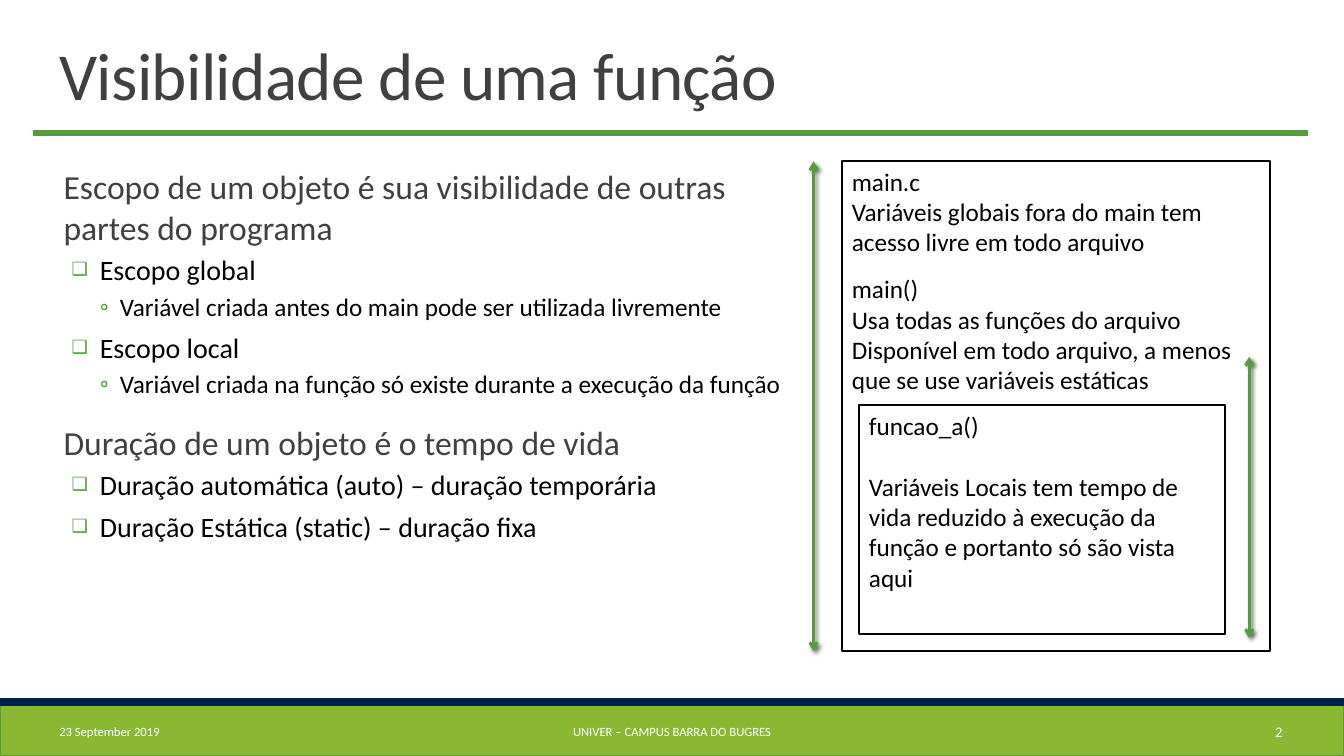
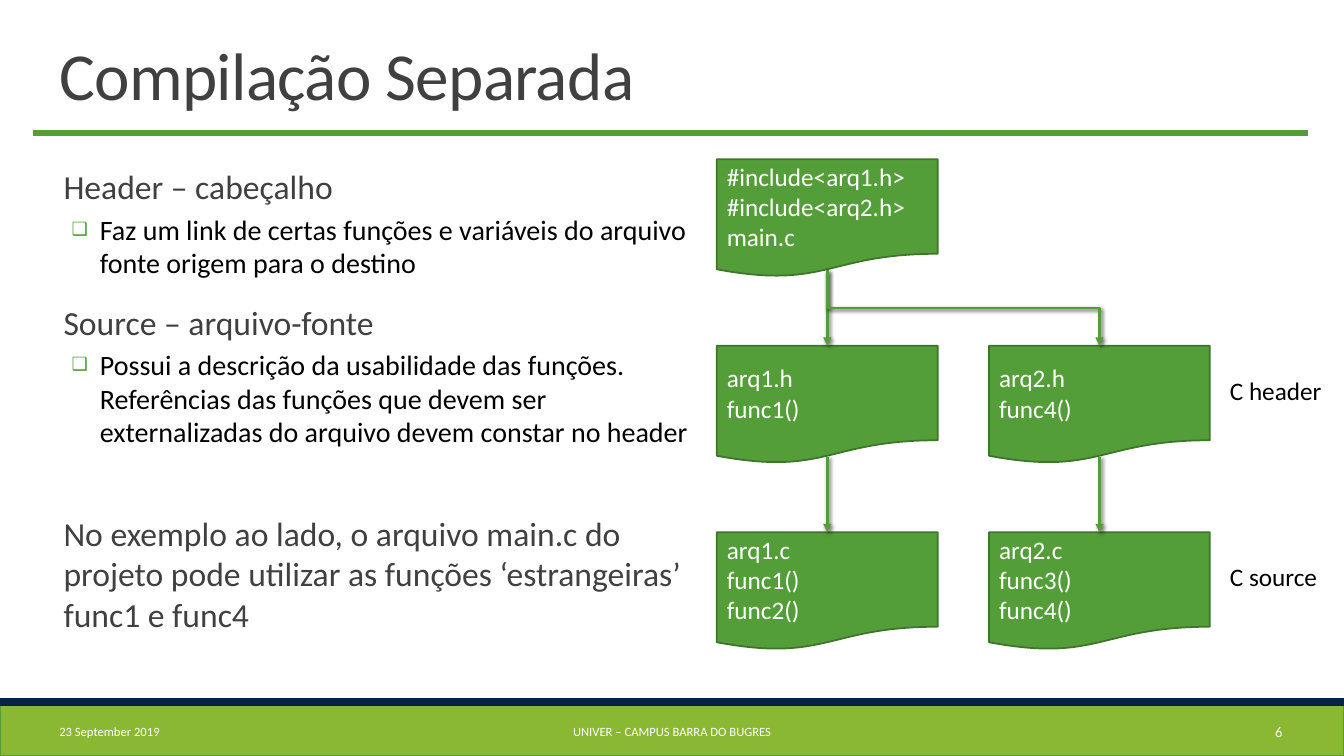
from lxml.etree import SubElement as Sub
from pptx import Presentation
from pptx.dml.color import RGBColor as RGB
from pptx.enum.shapes import MSO_CONNECTOR as LINE, MSO_SHAPE as SHAPE
from pptx.enum.text import MSO_ANCHOR as ANCHOR, MSO_AUTO_SIZE as FIT, PP_ALIGN as ALIGN
from pptx.oxml.ns import qn
from pptx.util import Inches, Pt

INK = dict(title="404040", text="000000", green="549E39", dark="3E752A",
           lime="8AB833", navy="00214A", white="FFFFFF")
FONT = "Calibri"
# Body levels: size, colour, left indent, hanging, line spacing, before, after, bullet, bullet size
LEVELS = [(24, "title", 0.14, 0, 1, 12, 2, None, 100),
          (20, "text", 0.5, -0.28, 1, 2, 4, "❑", 65),
          (18, "text", 0.7, -0.2, 0.9, 2, 4, "◦", 100)]


def color(name):
    return RGB.from_string(INK[name])


def style(par, size, ink, align=ALIGN.LEFT):
    par.alignment = align
    font = par.font
    font.name, font.size = FONT, Pt(size)
    font.color.rgb = color(ink)


def write(frame, lines, size, ink, align=ALIGN.LEFT, anchor=ANCHOR.MIDDLE):
    frame.word_wrap = True
    frame.vertical_anchor = anchor
    frame.text = "\n".join(lines)
    for par in frame.paragraphs:
        style(par, size, ink, align)


def textbox(slide, box):
    return slide.shapes.add_textbox(*map(Inches, box)).text_frame


def block(slide, kind, box, fill, edge):
    shape = slide.shapes.add_shape(kind, *map(Inches, box))
    shape.shadow.inherit = False
    if fill:
        shape.fill.solid()
        shape.fill.fore_color.rgb = color(fill)
    else:
        shape.fill.background()
    shape.line.color.rgb = color(edge)
    shape.line.width = Pt(1.25)
    return shape


# Lines and arrows
def rule(slide, start, end, width, kind=LINE.STRAIGHT):
    line = slide.shapes.add_connector(kind, *map(Inches, start + end))
    line.line.color.rgb = color("green")
    line.line.width = Pt(width)
    return line, Sub(line._element.spPr, qn("a:effectLst"))


def arrow(slide, start, end, tip, both=False, kind=LINE.STRAIGHT):
    line, effects = rule(slide, start, end, 2, kind)
    stroke = line.line._get_or_add_ln()
    for side in ("headEnd", "tailEnd") if both else ("tailEnd",):
        Sub(stroke, qn("a:" + side), type=tip)
    cast = Sub(effects, qn("a:outerShdw"), blurRad=str(Pt(3)), dist=str(Pt(2)),
               dir="2700000", algn="tl", rotWithShape="0")
    shade = Sub(cast, qn("a:srgbClr"), val=INK["text"])
    Sub(shade, qn("a:alpha"), val="60000")
    return line


# Title, bands and footer of every slide
def base(deck, title, number):
    slide = deck.slides.add_slide(deck.slide_layouts[5])
    block(slide, SHAPE.RECTANGLE, (0, 7, 13.33, 0.5), "lime", "green")
    block(slide, SHAPE.RECTANGLE, (0, 6.93, 13.33, 0.07), "navy", "navy")
    rule(slide, (0.33, 1.32), (12.97, 1.32), 4.5)

    head = slide.shapes.title
    head.left, head.top, head.width, head.height = map(Inches, (0.49, 0.31, 10.39, 0.87))
    frame = head.text_frame
    write(frame, [title], 48, "title", anchor=ANCHOR.BOTTOM)
    frame.auto_size = FIT.NONE
    par = frame.paragraphs[0]
    par.line_spacing = 0.85
    par.runs[0]._r.get_or_add_rPr().set("spc", "-50")

    for left, width, text, size, align in (
            (0.49, 2.7, "23 September 2019", 9, ALIGN.LEFT),
            (4.03, 5.27, "UNIVER – CAMPUS BARRA DO BUGRES", 9, ALIGN.CENTER),
            (11.39, 1.43, str(number), 10.5, ALIGN.RIGHT)):
        write(textbox(slide, (left, 7.06, width, 0.4)), [text], size, "white", align)
    return slide


# Bulleted text: items are (level, text)
def body(slide, box, items):
    frame = textbox(slide, box)
    write(frame, [text for _, text in items], 20, "text", anchor=ANCHOR.TOP)
    frame.margin_left = frame.margin_right = 0
    for par, (level, _) in zip(frame.paragraphs, items):
        size, ink, left, hang, space, above, below, mark, scale = LEVELS[level]
        style(par, size, ink)
        par.level = level
        par.line_spacing = space
        par.space_before, par.space_after = Pt(above), Pt(below)
        props = par._p.get_or_add_pPr()
        props.set("marL", str(Inches(left)))
        props.set("indent", str(Inches(hang)))
        font = props.find(qn("a:defRPr"))
        props.remove(font)
        if mark:
            tint = Sub(props, qn("a:buClr"))
            Sub(tint, qn("a:srgbClr"), val=INK["green"])
            Sub(props, qn("a:buSzPct"), val=str(scale * 1000))
            Sub(props, qn("a:buFont"), typeface=FONT)
            Sub(props, qn("a:buChar"), char=mark)
        else:
            Sub(props, qn("a:buNone"))
        props.append(font)
    return frame


# Outlined scope, its text at the top; a gap in points sets one paragraph off
def scope(slide, box, lines, split, gap):
    frame = block(slide, SHAPE.RECTANGLE, box, None, "text").text_frame
    write(frame, lines, 18, "text", anchor=ANCHOR.TOP)
    frame.paragraphs[split].space_before = Pt(gap)


def scopes(slide, left, top):
    scope(slide, (left + 0.28, top, 4.25, 4.86),
          ["main.c", "Variáveis globais fora do main tem acesso livre em todo arquivo",
           "main()", "Usa todas as funções do arquivo",
           "Disponível em todo arquivo, a menos que se use variáveis estáticas"], 2, 12)
    scope(slide, (left + 0.45, top + 2.42, 3.63, 2.27),
          ["funcao_a()", "Variáveis Locais tem tempo de vida reduzido à execução da "
           "função e portanto só são vista aqui"], 1, 22)
    for x, y, end in ((0, 0, 4.86), (4.32, 1.94, 4.73)):
        arrow(slide, (left + x, top + y), (left + x, top + end), "arrow", both=True)


# Tree of source files
def tree(slide, left, top):
    wide, high, across, down = 2.19, 1.17, 2.7, 1.85
    files = {(0, 0): ["#include<arq1.h>", "#include<arq2.h>", "main.c"],
             (0, 1): ["arq1.h", "func1()"],
             (0, 2): ["arq1.c", "func1()", "func2()"],
             (1, 1): ["arq2.h", "func4()"],
             (1, 2): ["arq2.c", "func3()", "func4()"]}
    pages = {}
    for (col, row), lines in files.items():
        box = left + col * across, top + row * down, wide, high
        pages[col, row] = block(slide, SHAPE.FLOWCHART_DOCUMENT, box, "green", "dark")
        write(pages[col, row].text_frame, lines, 18, "white")

    for source, target in (((0, 0), (0, 1)), ((0, 1), (0, 2)),
                           ((0, 0), (1, 1)), ((1, 1), (1, 2))):
        (col, row), (goal, below) = source, target
        x, end = (left + n * across + wide / 2 for n in (col, goal))
        y, stop = top + row * down + 1.1, top + below * down
        bent = col != goal
        link = arrow(slide, (x, y), (end, stop), "triangle",
                     kind=LINE.ELBOW if bent else LINE.STRAIGHT)
        link.begin_connect(pages[source], 2)
        link.end_connect(pages[target], 0)
        link.begin_y = Inches(y)
        if bent:  # turned so that it leaves downwards
            run, drop = end - x, stop - y
            link.left, link.top = Inches((x + end - drop) / 2), Inches((y + stop - run) / 2)
            link.width, link.height = Inches(drop), Inches(run)
            turn = link._element.spPr.find(qn("a:xfrm"))
            turn.set("rot", "16200000")
            turn.set("flipH", "1")

    for row, text, width in ((1, "C header", 1.12), (2, "C source", 1.08)):
        frame = textbox(slide, (left + 4.99, top + row * down + 0.24, width, 0.4))
        write(frame, [text], 18, "text", anchor=ANCHOR.TOP)
        frame.word_wrap = False
        frame.auto_size = FIT.SHAPE_TO_FIT_TEXT


def sight(deck):
    slide = base(deck, "Visibilidade de uma função", 2)
    body(slide, (0.49, 1.6, 7.26, 5.07), [
        (0, "Escopo de um objeto é sua visibilidade de outras partes do programa"),
        (1, "Escopo global"),
        (2, "Variável criada antes do main pode ser utilizada livremente"),
        (1, "Escopo local"),
        (2, "Variável criada na função só existe durante a execução da função"),
        (0, "Duração de um objeto é o tempo de vida"),
        (1, "Duração automática (auto) – duração temporária"),
        (1, "Duração Estática (static) – duração fixa")])
    scopes(slide, 8.07, 1.6)


def build(deck):
    slide = base(deck, "Compilação Separada", 6)
    frame = body(slide, (0.49, 1.6, 6.52, 5.07), [
        (0, "Header – cabeçalho"),
        (1, "Faz um link de certas funções e variáveis do arquivo fonte origem para o destino"),
        (0, "Source – arquivo-fonte"),
        (1, "Possui a descrição da usabilidade das funções. Referências das funções que "
            "devem ser externalizadas do arquivo devem constar no header"),
        (0, "No exemplo ao lado, o arquivo main.c do projeto pode utilizar as funções "
            "‘estrangeiras’ func1 e func4")])
    frame.paragraphs[-1].space_before = Pt(42)
    tree(slide, 7.11, 1.58)


deck = Presentation()
deck.slide_width, deck.slide_height = Inches(13.33), Inches(7.5)
sight(deck)
build(deck)
deck.save("out.pptx")
